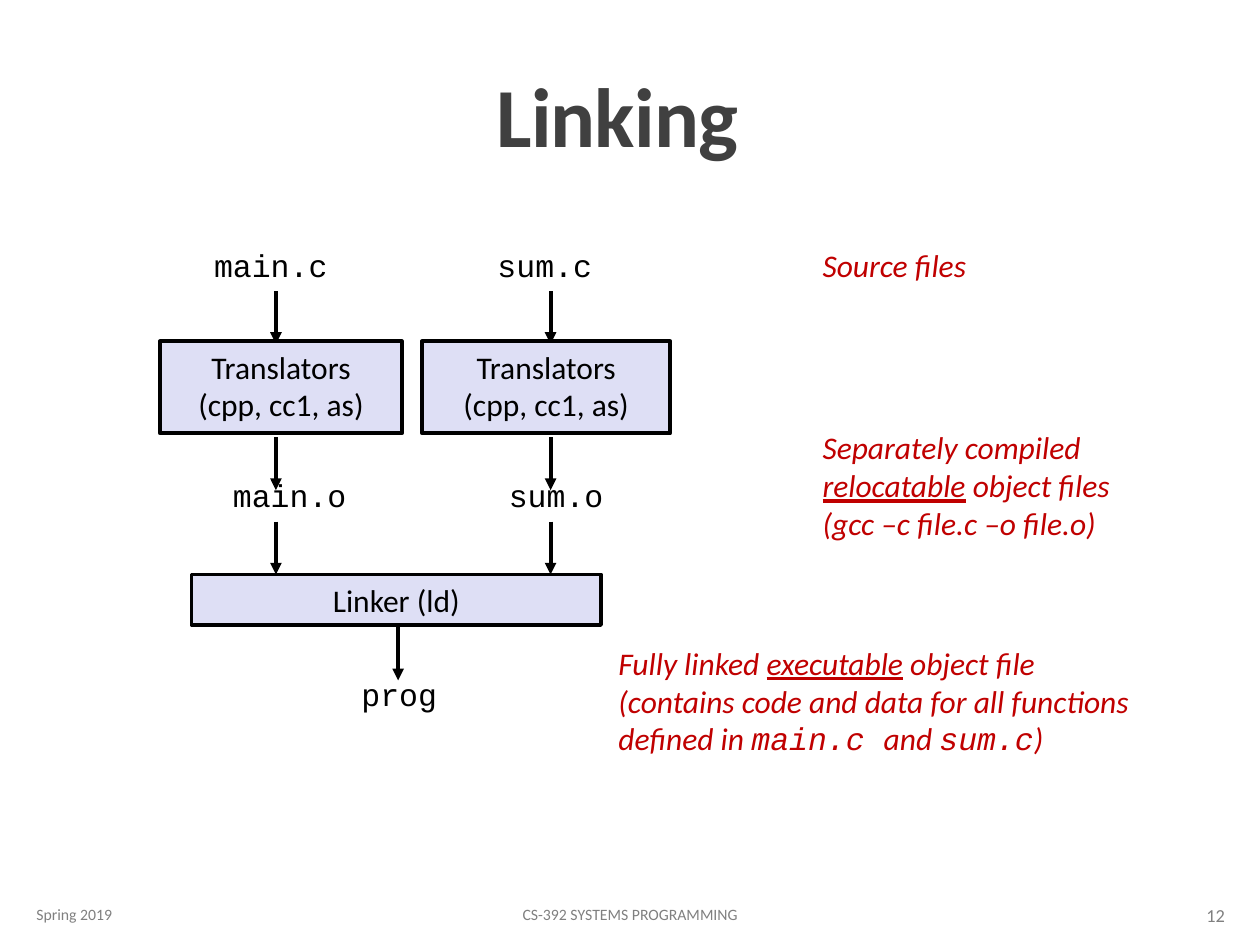
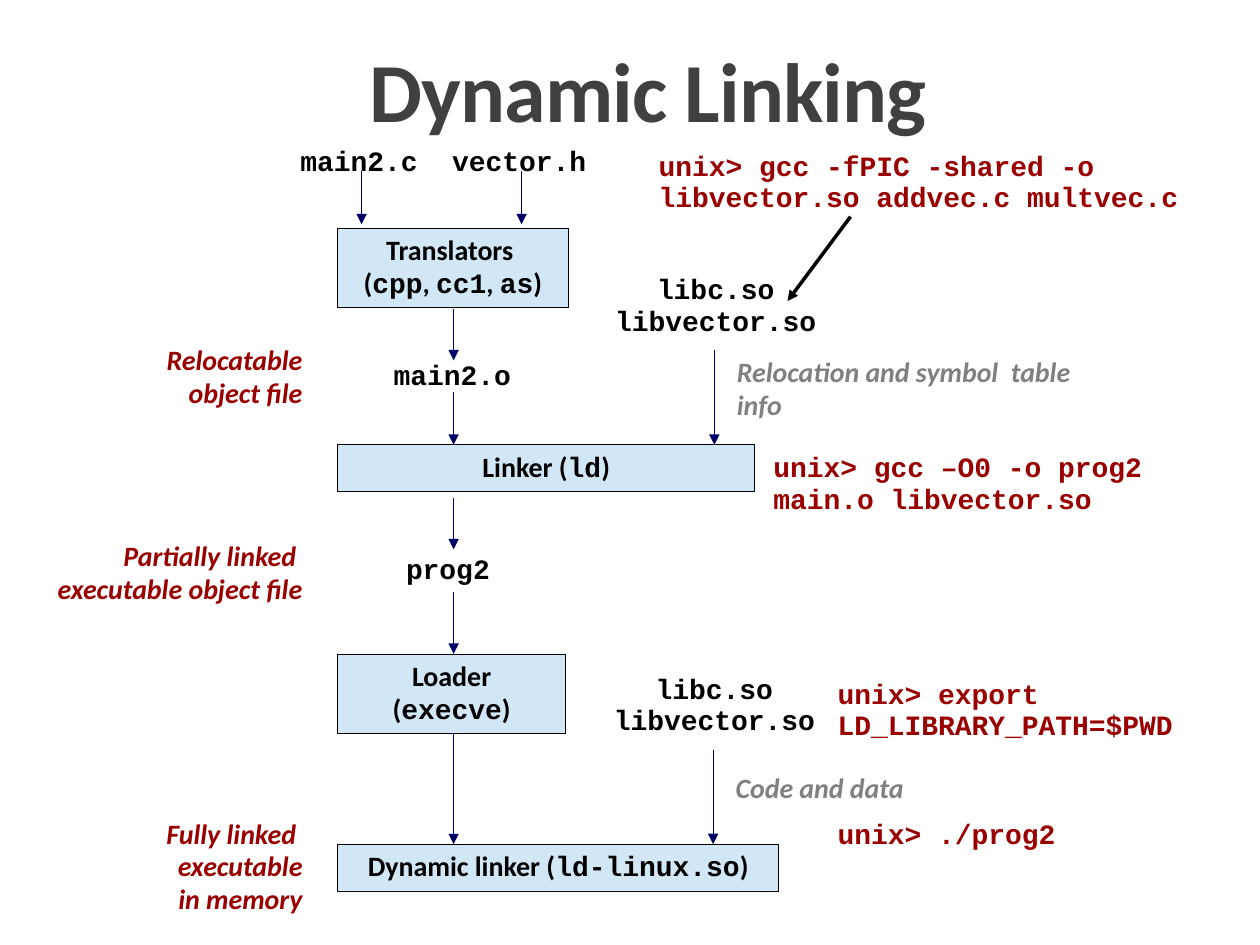
from lxml.etree import SubElement
from pptx import Presentation
from pptx.dml.color import RGBColor
from pptx.enum.shapes import MSO_CONNECTOR, MSO_SHAPE
from pptx.enum.text import MSO_ANCHOR, MSO_AUTO_SIZE, PP_ALIGN
from pptx.oxml.ns import qn
from pptx.util import Inches, Pt

# Shared style
SANS, MONO = "Calibri", "Courier New"
BLACK, GREY, TITLE_GREY = "000000", "808080", "404040"
RED, DARK_RED, NAVY = "C00000", "990000", "000066"
LILAC, PALE_BLUE = "DEDFF5", "D1E7F6"
LEFT, CENTER, RIGHT = PP_ALIGN.LEFT, PP_ALIGN.CENTER, PP_ALIGN.RIGHT


def rgb(value):
    return RGBColor.from_string(value)


def code(text):
    return text, "code"


def under(text):
    return text, "under"


def write(tf, lines, size, color=BLACK, font=SANS, align=LEFT, spacing=None,
          bold=False, italic=False):
    """Fill a frame; a line is a string or a list of strings and marked runs."""
    for i, line in enumerate(lines):
        p = tf.paragraphs[0] if i == 0 else tf.add_paragraph()
        p.alignment = align
        if spacing:
            p.line_spacing = spacing
        p.font.name, p.font.size = font, Pt(size)
        p.font.bold, p.font.italic = bold, italic
        p.font.color.rgb = rgb(color)
        for part in [line] if isinstance(line, str) else line:
            text, mark = (part, None) if isinstance(part, str) else part
            r = p.add_run()
            r.text = text
            if mark == "code":
                r.font.name = MONO
            elif mark == "under":
                r.font.underline = True


def add_text(s, x, y, w, h, lines, size, wrap=True, anchor=MSO_ANCHOR.TOP, **style):
    tf = s.shapes.add_textbox(Inches(x), Inches(y), Inches(w), Inches(h)).text_frame
    tf.word_wrap = wrap
    tf.vertical_anchor = anchor
    write(tf, lines, size, **style)


def add_box(s, x, y, w, h, lines, size, fill, line_width, **style):
    sp = s.shapes.add_shape(MSO_SHAPE.RECTANGLE, Inches(x), Inches(y),
                            Inches(w), Inches(h))
    sp.shadow.inherit = False
    sp.fill.solid()
    sp.fill.fore_color.rgb = rgb(fill)
    sp.line.color.rgb = rgb(BLACK)
    sp.line.width = Pt(line_width)
    tf = sp.text_frame
    tf.word_wrap = True
    tf.vertical_anchor = MSO_ANCHOR.TOP
    write(tf, lines, size, align=CENTER, **style)


def add_arrow(s, x1, y1, x2, y2, color, width):
    c = s.shapes.add_connector(MSO_CONNECTOR.STRAIGHT, Inches(x1), Inches(y1),
                               Inches(x2), Inches(y2))
    c.line.color.rgb = rgb(color)
    c.line.width = Pt(width)
    SubElement(c.line._get_or_add_ln(), qn("a:tailEnd"), type="triangle")
    SubElement(c._element.spPr, qn("a:effectLst"))


def add_slide(prs, title, x, y, w, h):
    s = prs.slides.add_slide(prs.slide_layouts[5])
    sp = s.shapes.title
    sp.left, sp.top, sp.width, sp.height = map(Inches, (x, y, w, h))
    tf = sp.text_frame
    tf.auto_size = MSO_AUTO_SIZE.NONE
    tf.vertical_anchor = MSO_ANCHOR.BOTTOM
    write(tf, [title], 48, color=TITLE_GREY, align=CENTER, spacing=0.85, bold=True)
    tf.paragraphs[0].runs[0].font._element.set("spc", "-50")
    return s


def add_footer(s, top, date, course, number):
    for x, w, text, size, align in [(0.19, 2.03, date, 9, LEFT),
                                    (3.02, 3.96, course, 9, CENTER),
                                    (8.74, 1.08, number, 10.5, RIGHT)]:
        add_text(s, x, top, w, 0.4, [text], size, color=GREY, align=align,
                 anchor=MSO_ANCHOR.MIDDLE)


# Slide 1: static linking
def compile_column(s, x, y, stem, box_w, arrow_dx, source_dx, object_dx, name_w):
    """One source file on its way through the translators to the linker."""
    for dy in (0.41, 1.57, 2.24):
        add_arrow(s, x + arrow_dx, y + dy, x + arrow_dx, y + dy + 0.42, BLACK, 2.25)
    add_box(s, x, y + 0.81, box_w, 0.73, ["Translators", "(cpp, cc1, as)"], 18,
            LILAC, 2.25)
    for dx, dy, suffix in [(source_dx, 0, ".c"), (object_dx, 1.83, ".o")]:
        add_text(s, x + dx, y + dy, name_w, 0.4, [stem + suffix], 18, wrap=False,
                 font=MONO)


def link_stage(s, x, y):
    add_box(s, x, y, 3.25, 0.4, ["Linker (ld)"], 18, LILAC, 2.25)
    add_arrow(s, x + 1.25 + 0.22 + 0.17, y + 0.42, x + 1.64, y + 0.84, BLACK, 2.25)
    add_text(s, x + 1.25, y + 0.75, 0.81, 0.4, ["prog"], 18, wrap=False, font=MONO)


def file_notes(s, x, y):
    notes = [
        (0, 0, 1.44, 0.4, ["Source files"]),
        (0, 1.45, 2.51, 1.01, ["Separately compiled",
                               [under("relocatable"), " object files"],
                               "(gcc –c file.c –o file.o)"]),
        (-1.62, 3.16, 4.46, 1.01, [
            ["Fully linked ", under("executable"), " object file"],
            "(contains code and data for all functions",
            ["defined in ", code("main.c "), "and ", code("sum.c"), ")"]]),
    ]
    for dx, dy, w, h, lines in notes:
        add_text(s, x + dx, y + dy, w, h, lines, 18, wrap=False, color=RED, italic=True)


def linking_slide(prs):
    s = add_slide(prs, "Linking", 0.13, 0.33, 9.54, 1.03)
    compile_column(s, 1.27, 1.9, "main", 1.92, 0.92, 0.33, 0.48, 1.11)
    compile_column(s, 3.35, 1.9, "sum", 1.97, 1.02, 0.5, 0.59, 0.96)
    link_stage(s, 1.52, 4.56)
    file_notes(s, 6.43, 1.9)
    add_footer(s, 7.06, "Spring 2019", "CS-392 SYSTEMS PROGRAMMING", "12")


# Slide 2: dynamic linking
def add_files(s, x, y, w, names):
    add_text(s, x, y, w, 0.11 + 0.25 * len(names), names, 16, wrap=False, font=MONO,
             align=CENTER, spacing=0.94, bold=True)


def build_chain(s, x, y):
    """Steps from the source files down to the program in memory."""
    steps = [
        (0.7, 1.83, 0.63, ["Translators ", ["(", code("cpp"), ", ", code("cc1"), ", ",
                                            code("as"), ")"]]),
        (2.42, 3.31, 0.37, [["Linker (", code("ld"), ")"]]),
        (4.08, 1.81, 0.63, [["Loader (", code("execve"), ")"]]),
        (5.59, 3.5, 0.37, [["Dynamic linker (", code("ld-linux.so"), ")"]]),
    ]
    for dy, w, h, lines in steps:
        add_box(s, x, y + dy, w, h, lines, 16, PALE_BLUE, 0.25, spacing=0.98, bold=True)
    for dx, dy, w, name in [(-0.4, 0, 1.14, "main2.c"), (0.8, 0, 1.28, "vector.h"),
                            (0.34, 1.7, 1.14, "main2.o"), (0.44, 3.24, 0.87, "prog2")]:
        add_files(s, x + dx, y + dy, w, [name])
    for dx, start, end in [(0.19, 0.25, 0.67), (1.46, 0.25, 0.67), (0.92, 1.34, 1.75),
                           (0.92, 2, 2.42), (0.92, 2.84, 3.25), (0.92, 3.59, 4.08),
                           (0.92, 4.71, 5.59)]:
        add_arrow(s, x + dx, y + start, x + dx, y + end, NAVY, 0.25)


def library_branch(s, x, y, note, note_dy, note_w, note_h):
    """Shared libraries that feed a linker, with what they supply."""
    add_files(s, x, y, 1.82, ["libc.so", "libvector.so"])
    add_arrow(s, x + 0.9, y + 0.65, x + 0.9, y + 1.4, NAVY, 0.25)
    add_text(s, x + 0.98, y + note_dy, note_w, note_h, [note], 16, color=GREY,
             spacing=0.98, bold=True, italic=True)


def stage_labels(s, right, top):
    for dy, w, lines in [(0, 1.5, ["Relocatable", "object file"]),
                         (1.56, 2.75, ["Partially linked ", "executable object file"]),
                         (3.76, 1.92, ["Fully linked ", "executable", "in memory"])]:
        add_text(s, right - w, top + dy, w, 0.11 + 0.26 * len(lines), lines, 16,
                 color=DARK_RED, align=RIGHT, spacing=0.98, bold=True, italic=True)


def shell_commands(s, x, y):
    commands = [
        (0, 0, 4.47, ["unix> gcc -fPIC -shared -o libvector.so addvec.c multvec.c"]),
        (0.91, 2.39, 3.17, ["unix> gcc –O0 -o prog2", "main.o libvector.so"]),
        (1.42, 4.19, 3.17, ["unix> export LD_LIBRARY_PATH=$PWD"]),
        (1.42, 5.3, 3.17, ["unix> ./prog2"]),
    ]
    for dx, dy, w, lines in commands:
        h = 0.36 if dy == 5.3 else 0.61
        add_text(s, x + dx, y + dy, w, h, lines, 16, color=DARK_RED, font=MONO,
                 spacing=0.94, bold=True)
    add_arrow(s, x + 1.62, y + 0.57, x + 1.12, y + 1.24, BLACK, 2)


def dynamic_linking_slide(prs):
    s = add_slide(prs, "Dynamic Linking", 0.38, 0.31, 9.53, 0.85)
    build_chain(s, 2.68, 1.11)
    library_branch(s, 4.77, 2.13, "Relocation and symbol  table info", 0.65, 2.85, 0.63)
    library_branch(s, 4.76, 5.3, "Code and data", 0.78, 1.94, 0.37)
    stage_labels(s, 2.5, 2.68)
    shell_commands(s, 5.13, 1.15)


def main():
    prs = Presentation()
    prs.slide_width, prs.slide_height = Inches(10), Inches(7.5)
    linking_slide(prs)
    dynamic_linking_slide(prs)
    prs.save("out.pptx")


if __name__ == "__main__":
    main()
